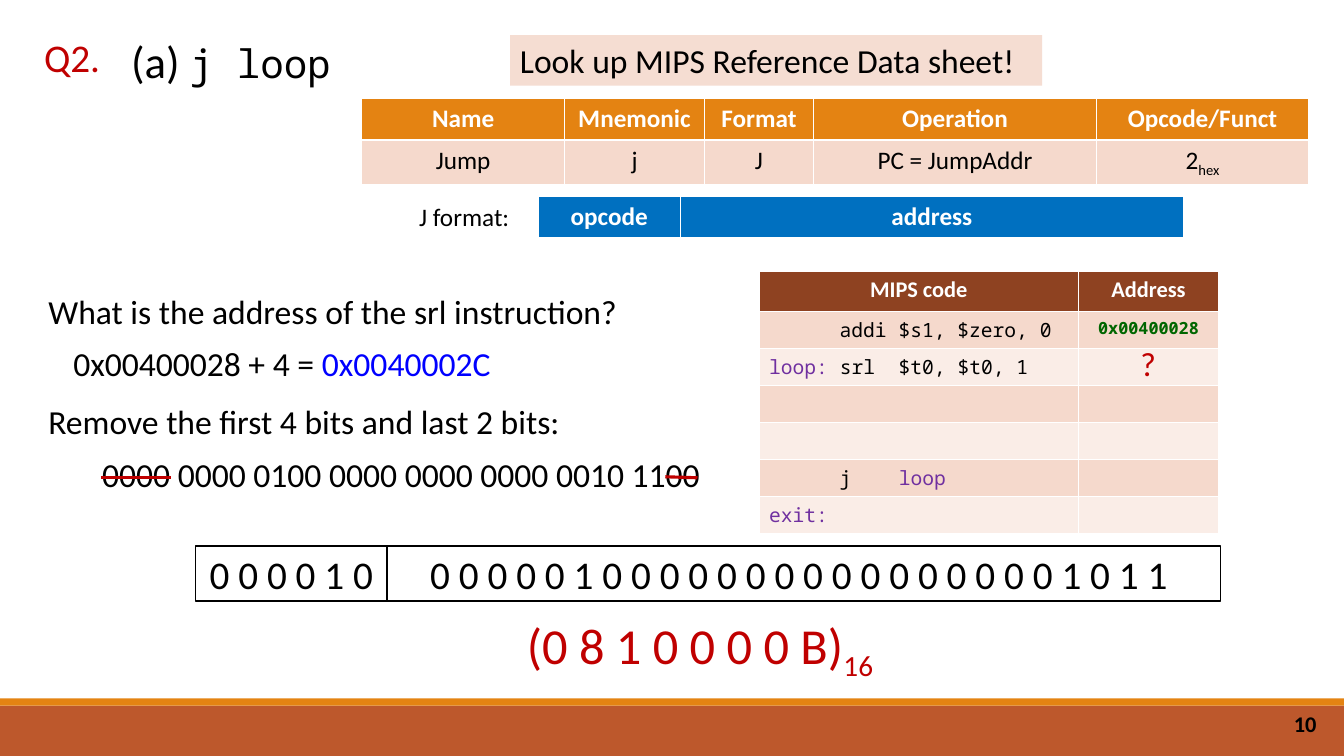
from dataclasses import dataclass, field

from lxml import etree
from pptx import Presentation
from pptx import util as u
from pptx.dml.color import RGBColor
from pptx.enum import shapes, text
from pptx.oxml.ns import qn

WHITE = RGBColor(0xFF, 0xFF, 0xFF)
BLACK = RGBColor(0x00, 0x00, 0x00)
RED = RGBColor(0xC0, 0x00, 0x00)
BLUE = RGBColor(0x00, 0x00, 0xFF)
GREEN = RGBColor(0x00, 0x66, 0x00)
PURPLE = RGBColor(0x70, 0x30, 0xA0)
ORANGE = RGBColor(0xE4, 0x83, 0x12)
RUST = RGBColor(0xBD, 0x58, 0x2C)
BROWN = RGBColor(0x8E, 0x42, 0x21)
FORMAT_BLUE = RGBColor(0x00, 0x70, 0xC0)
CALLOUT = RGBColor(0xF5, 0xDD, 0xD2)
BAND_DARK = RGBColor(0xF5, 0xD9, 0xCC)
BAND_LIGHT = RGBColor(0xFA, 0xED, 0xE7)

SANS, MONO = "Calibri", "Noto Sans Mono"
LEFT, CENTER, RIGHT = text.PP_ALIGN.LEFT, text.PP_ALIGN.CENTER, text.PP_ALIGN.RIGHT

# The slide is a grid of 40 columns by 22.5 rows of square cells
presentation = Presentation()
presentation.slide_width, presentation.slide_height = u.Inches(40 / 3), u.Inches(7.5)
CELL = presentation.slide_width / 40


def grid(cells: float) -> u.Emu:
    return u.Emu(round(cells * CELL))


@dataclass
class Run:
    text: str
    size: float = 24
    color: RGBColor = BLACK
    name: str = SANS
    bold: bool = False
    subscript: bool = False


@dataclass
class Line:
    runs: list[Run]
    align: text.PP_ALIGN = LEFT
    indent: float = 0
    before: float = 0


@dataclass
class Box:
    left: float
    top: float
    width: float
    height: float
    lines: list[Line] = field(default_factory=list)
    fill: RGBColor | None = None
    outline: RGBColor | None = None


@dataclass
class Grid:
    left: float
    top: float
    columns: list[float]
    rows: list[float]
    cells: list[list[Line | None]]
    fills: list[RGBColor]


def write_line(paragraph, line: Line) -> None:
    properties = paragraph._p.get_or_add_pPr()
    properties.set("marL", str(grid(line.indent)))
    properties.set("indent", "0")
    etree.SubElement(properties, qn("a:buNone"))
    formats = {"alignment": line.align, "space_before": u.Pt(line.before),
               "space_after": u.Pt(0), "line_spacing": 1.0}
    for key, value in formats.items():
        setattr(paragraph, key, value)
    for item in line.runs:
        run = paragraph.add_run()
        run.text = item.text
        for key, value in {"size": u.Pt(item.size), "name": item.name, "bold": item.bold}.items():
            setattr(run.font, key, value)
        run.font.color.rgb = item.color
        if item.subscript:
            run._r.get_or_add_rPr().set("baseline", "-25000")


def write_frame(frame, lines: list[Line], anchor=text.MSO_ANCHOR.TOP) -> None:
    formats = {"word_wrap": True, "auto_size": text.MSO_AUTO_SIZE.NONE, "vertical_anchor": anchor}
    for key, value in formats.items():
        setattr(frame, key, value)
    for index, line in enumerate(lines):
        write_line(frame.add_paragraph() if index else frame.paragraphs[0], line)


def place(shape, box: Box) -> None:
    for key in ("left", "top", "width", "height"):
        setattr(shape, key, grid(getattr(box, key)))
    write_frame(shape.text_frame, box.lines)


def area(box: Box) -> tuple[u.Emu, ...]:
    return tuple(grid(value) for value in (box.left, box.top, box.width, box.height))


def add_label(slide, box: Box, anchor=text.MSO_ANCHOR.TOP):
    label = slide.shapes.add_textbox(*area(box))
    write_frame(label.text_frame, box.lines, anchor)
    return label


def add_panel(slide, box: Box):
    panel = slide.shapes.add_shape(shapes.MSO_SHAPE.RECTANGLE, *area(box))
    panel.shadow.inherit = False
    for part, color in ((panel.fill, box.fill), (panel.line.fill, box.outline)):
        if color is None:
            part.background()
        else:
            part.solid()
            part.fore_color.rgb = color
    if box.outline is not None:
        panel.line.width = u.Pt(1.25)
    panel.text_frame.margin_top = panel.text_frame.margin_bottom = 0
    write_frame(panel.text_frame, box.lines, text.MSO_ANCHOR.MIDDLE)
    return panel


def add_grid(slide, item: Grid) -> None:
    box = Box(item.left, item.top, sum(item.columns), sum(item.rows))
    table = slide.shapes.add_table(len(item.rows), len(item.columns), *area(box)).table
    for column, width in zip(table.columns, item.columns):
        column.width = grid(width)
    for row, height, lines, fill in zip(table.rows, item.rows, item.cells, item.fills):
        row.height = grid(height)
        for cell, line in zip(row.cells, lines):
            cell.fill.solid()
            cell.fill.fore_color.rgb = fill
            if line is None:
                cell.margin_top = cell.margin_bottom = 0
            else:
                write_line(cell.text_frame.paragraphs[0], line)


def add_strike(slide, start: tuple[float, float], end: tuple[float, float]) -> None:
    strike = slide.shapes.add_connector(
        shapes.MSO_CONNECTOR.STRAIGHT, *(grid(value) for value in start + end))
    strike.line.color.rgb = RED
    strike.line.width = u.Pt(2.25)
    etree.SubElement(strike._element.spPr, qn("a:effectLst"))


def centered(words: str, size: float, color: RGBColor = BLACK, bold: bool = False) -> Line:
    return Line([Run(words, size, color, bold=bold)], CENTER)


def heading(*words: str, size: float = 18) -> list[Line]:
    return [centered(word, size, WHITE, True) for word in words]


def code(words: str, color: RGBColor = BLACK) -> Run:
    return Run(words, 14, color, MONO)


slide = presentation.slides.add_slide(presentation.slide_layouts[1])

# Footer bars and page number
add_panel(slide, Box(0, 21, 40, 1.5, fill=RUST))
add_panel(slide, Box(0, 20.79, 40, 0.21, fill=ORANGE))
add_label(slide, Box(30.48, 20.94, 9, 1.2, [Line([Run("10", 16, bold=True)], RIGHT)]),
          text.MSO_ANCHOR.MIDDLE)

# Title and worked steps
place(slide.shapes.title, Box(3.6, 0.84, 11, 1.92, [
    Line([Run("(a) ", 32), Run("j loop", 28, name=MONO)])]))
place(slide.placeholders[1], Box(1.14, 8.52, 21, 6.42, [
    Line([Run("What is the address of the srl instruction?")]),
    Line([Run("0x00400028 + 4 = "), Run("0x0040002C", color=BLUE)], indent=0.74, before=8),
    Line([Run("Remove the first 4 bits and last 2 bits:")], before=13),
    Line([Run("0000 0000 0100 0000 0000 0000 0010 1100")], indent=1.6, before=9)]))

# Reference data and instruction format
add_panel(slide, Box(15.18, 1.05, 15.84, 1.5,
                     [Line([Run("Look up MIPS Reference Data sheet!")])], CALLOUT))
add_grid(slide, Grid(
    10.77, 2.94, [6.03, 4.17, 3.24, 8.43, 6.3], [1.23, 1.32],
    [heading("Name", "Mnemonic", "Format", "Operation", "Opcode/Funct"),
     [centered(word, 18) for word in ("Jump", "j", "J", "PC = JumpAddr")]
     + [Line([Run("2", 18), Run("hex", 18, subscript=True)], CENTER)]],
    [ORANGE, BAND_DARK]))
add_grid(slide, Grid(16.02, 5.85, [4.23, 14.97], [1.23],
                     [heading("opcode", "address")], [FORMAT_BLUE]))

# Program listing
add_grid(slide, Grid(
    22.59, 8.07, [9.51, 4.17], [1.2, 0.99, 0.99, 1.11, 1.11, 0.99, 1.11],
    [heading("MIPS code", "Address", size=16),
     [Line([code("      addi $s1, $zero, 0")]),
      Line([Run("0x00400028", 12, GREEN, MONO, True)], CENTER)],
     [Line([code("loop: ", PURPLE), code("srl  $t0, $t0, 1")]), None],
     [None, None],
     [None, None],
     [Line([code("      j    "), code("loop", PURPLE)]), None],
     [Line([code("exit:", PURPLE)]), None]],
    [BROWN] + [BAND_DARK, BAND_LIGHT] * 3))

# Encoded fields
add_panel(slide, Box(5.82, 16.26, 5.7, 1.62, [centered("0 0 0 0 1 0", 28)], outline=BLACK))
address_field = add_panel(slide, Box(11.52, 16.26, 24.81, 1.62, [
    centered("0 0 0 0 0 1 0 0 0 0 0 0 0 0 0 0 0 0 0 0 0 0 1 0 1 1", 28)], outline=BLACK))
address_field.text_frame.margin_right = grid(0.6)

# Labels and result
for label in (
    Box(0.66, 0.84, 2.97, 1.71, [centered("Q2.", 28, RED)]),
    Box(12.18, 5.85, 3.84, 1.2, [Line([Run("J format:", 18)])]),
    Box(33.27, 10.05, 1.8, 1.5, [centered("?", 24, RED)]),
    Box(13.89, 18.12, 13.89, 2.13, [Line([
        Run("(0 8 1 0 0 0 0 B)", 36, RED), Run("16", 36, RED, subscript=True)], CENTER)]),
):
    add_label(slide, label)

# Removed bits
add_strike(slide, (19.8, 14.19), (20.76, 14.22))
add_strike(slide, (3, 14.22), (5.1, 14.22))

presentation.save("out.pptx")
